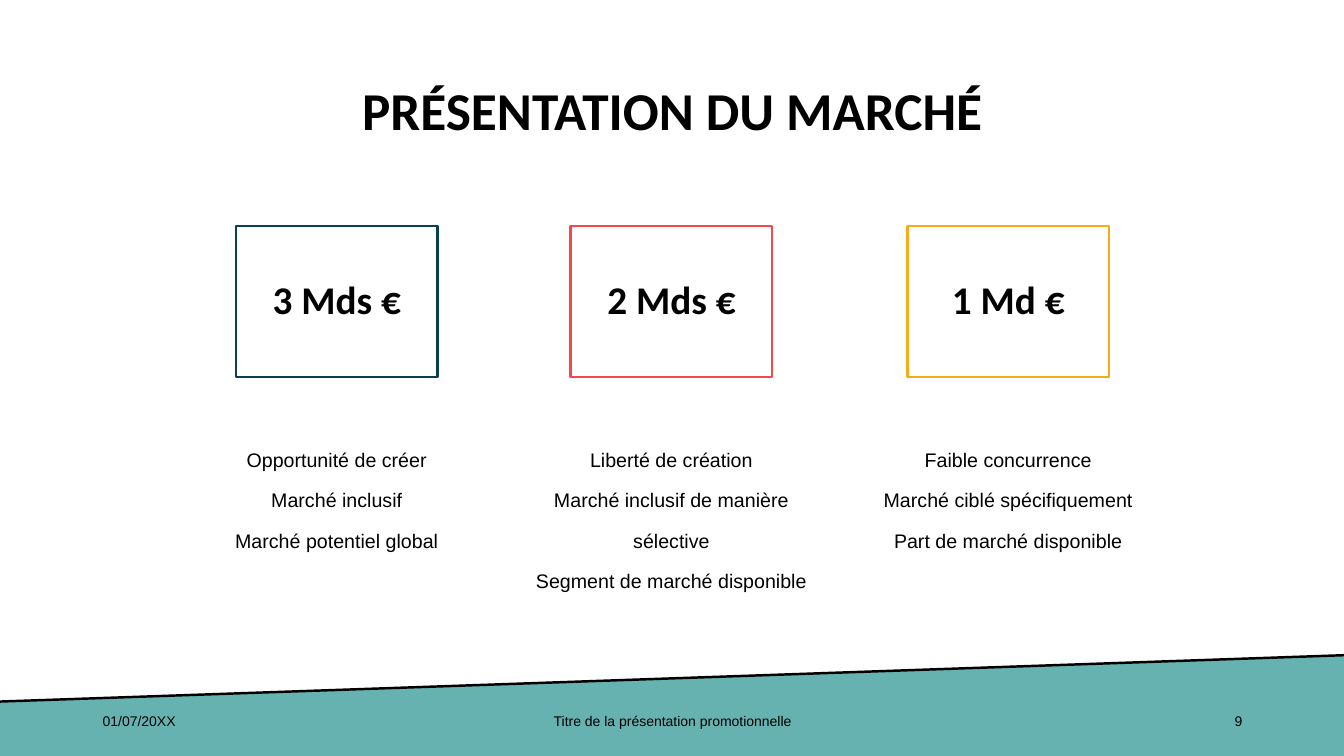
from lxml import etree
from pptx import Presentation
from pptx.dml.color import RGBColor
from pptx.enum.shapes import MSO_CONNECTOR, MSO_SHAPE
from pptx.enum.text import MSO_ANCHOR, PP_ALIGN
from pptx.oxml.ns import qn
from pptx.util import Inches, Pt

LEFT, CENTER, RIGHT = PP_ALIGN.LEFT, PP_ALIGN.CENTER, PP_ALIGN.RIGHT
TOP, MIDDLE = MSO_ANCHOR.TOP, MSO_ANCHOR.MIDDLE
RECTANGLE, STRAIGHT = MSO_SHAPE.RECTANGLE, MSO_CONNECTOR.STRAIGHT

BLACK = RGBColor(0x00, 0x00, 0x00)
TEAL = RGBColor(0x66, 0xB2, 0xB0)
NAVY = RGBColor(0x0A, 0x40, 0x54)
CORAL = RGBColor(0xF2, 0x49, 0x4C)
AMBER = RGBColor(0xF9, 0xAA, 0x19)

WIDTH, HEIGHT = 13.33, 7.5
BAND_LEFT_Y, BAND_RIGHT_Y = 6.96, 6.5
BOX_WIDTH, COLUMN_WIDTH = 2, 3

MARKETS = [
    (3.34, NAVY, "3 Mds €",
     ["Opportunité de créer", "Marché inclusif", "Marché potentiel global"]),
    (6.66, CORAL, "2 Mds €",
     ["Liberté de création", "Marché inclusif de manière sélective",
      "Segment de marché disponible"]),
    (10, AMBER, "1 Md €",
     ["Faible concurrence", "Marché ciblé spécifiquement",
      "Part de marché disponible"]),
]

FOOTERS = [
    (0.92, 3, "01/07/20XX", LEFT),
    (4.42, 4.5, "Titre de la présentation promotionnelle", CENTER),
    (9.42, 3, "9", RIGHT),
]


class SlideBuilder:
    heading = {"name": "Calibri", "bold": True}
    body = {"name": "Arial", "bold": False}
    line_width = Pt(1.75)

    def __init__(self, prs):
        self.s = prs.slides.add_slide(prs.slide_layouts[5])

    def fill_text(self, sp, lines, style, size, align=CENTER, anchor=MIDDLE, spacing=1.0):
        tf = sp.text_frame
        tf.word_wrap = True
        tf.vertical_anchor = anchor
        font_format = {**style, "size": Pt(size)}
        for i, line in enumerate(lines):
            p = tf.paragraphs[0] if i == 0 else tf.add_paragraph()
            p.alignment = align
            p.line_spacing = spacing
            p.space_before = p.space_after = Pt(0)
            r = p.add_run()
            r.text = line
            for name, value in font_format.items():
                setattr(r.font, name, value)
            r.font.color.rgb = BLACK

    def title(self, text, x, y, w, h):
        sp = self.s.shapes.title
        sp.left, sp.top, sp.width, sp.height = map(Inches, (x, y, w, h))
        self.fill_text(sp, [text], self.heading, 38, spacing=0.9)

    def text(self, lines, x, y, w, h, size, **layout):
        sp = self.s.shapes.add_textbox(*map(Inches, (x, y, w, h)))
        self.fill_text(sp, lines, self.body, size, **layout)

    def box(self, text, x, y, w, h, color):
        sp = self.s.shapes.add_shape(RECTANGLE, *map(Inches, (x, y, w, h)))
        sp.shadow.inherit = False
        sp.fill.background()
        sp.line.color.rgb = color
        sp.line.width = self.line_width
        self.fill_text(sp, [text], self.heading, 28, spacing=0.9)

    def polygon(self, points, color):
        start, *rest = [tuple(map(Inches, point)) for point in points]
        builder = self.s.shapes.build_freeform(*start)
        builder.add_line_segments(rest)
        sp = builder.convert_to_shape()
        sp.shadow.inherit = False
        sp.fill.solid()
        sp.fill.fore_color.rgb = color
        sp.line.fill.background()

    def line(self, x1, y1, x2, y2):
        sp = self.s.shapes.add_connector(STRAIGHT, *map(Inches, (x1, y1, x2, y2)))
        sp.line.color.rgb = BLACK
        sp.line.width = self.line_width
        etree.SubElement(sp._element.spPr, qn("a:effectLst"))


def main():
    prs = Presentation()
    prs.slide_width, prs.slide_height = Inches(WIDTH), Inches(HEIGHT)
    slide = SlideBuilder(prs)

    slide.polygon([(0, BAND_LEFT_Y), (WIDTH, BAND_RIGHT_Y),
                   (WIDTH, HEIGHT), (0, HEIGHT)], TEAL)
    slide.line(WIDTH, BAND_RIGHT_Y, 0, BAND_LEFT_Y)
    slide.title("PRÉSENTATION DU MARCHÉ", 0.92, 0.4, 11.5, 1.45)

    for center, color, amount, points in MARKETS:
        slide.box(amount, center - BOX_WIDTH / 2, 2.24, BOX_WIDTH, 1.5, color)
        slide.text(points, center - COLUMN_WIDTH / 2, 4.22, COLUMN_WIDTH, 1.75,
                   14, anchor=TOP, spacing=Pt(29))

    for x, w, text, align in FOOTERS:
        slide.text([text], x, 6.95, w, 0.4, 10, align=align)

    prs.save("out.pptx")


if __name__ == "__main__":
    main()
